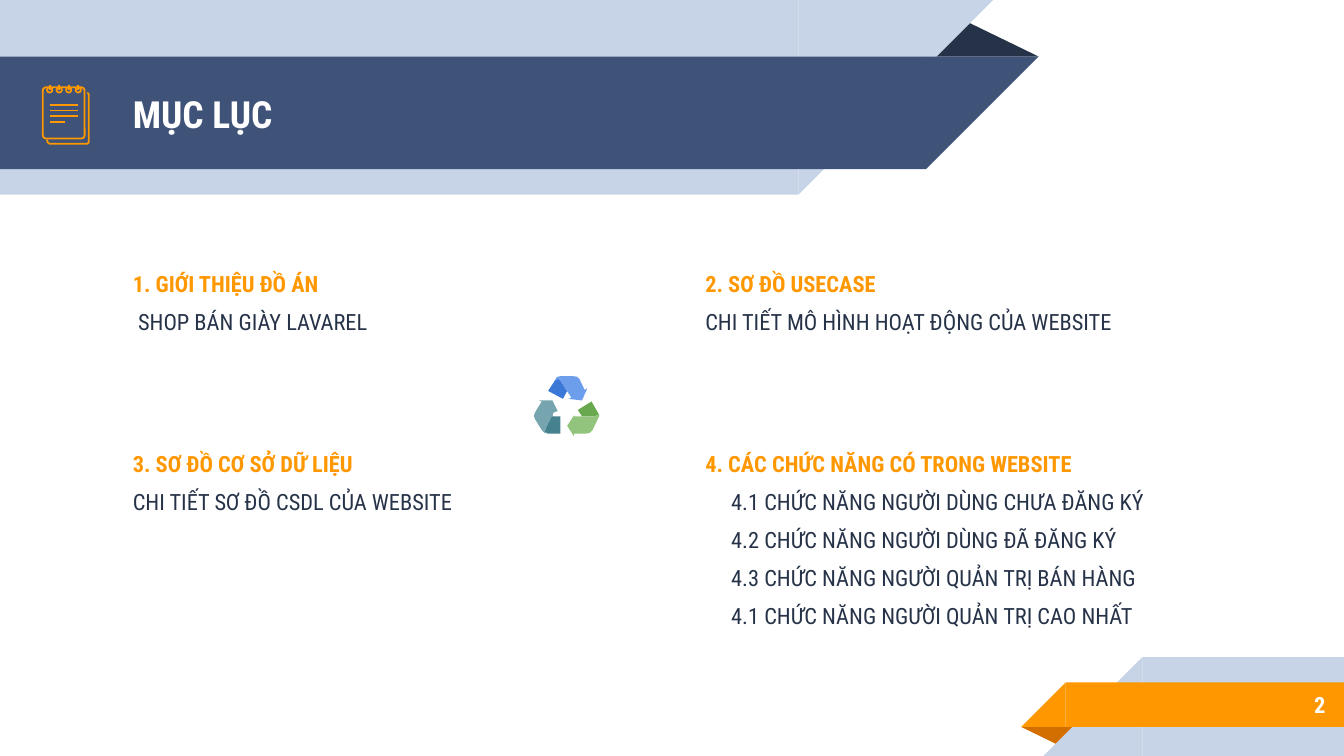
from dataclasses import dataclass

from lxml import etree
from pptx import Presentation
from pptx.dml.color import RGBColor
from pptx.enum import shapes as kinds, text as txt
from pptx.oxml import ns
from pptx.util import Cm, Pt

FONT = "Roboto Condensed"
WHITE = RGBColor(0xFF, 0xFF, 0xFF)
PALE = RGBColor(0xC7, 0xD3, 0xE6)
NAVY = RGBColor(0x3F, 0x53, 0x78)
DARK = RGBColor(0x26, 0x32, 0x48)
ORANGE = RGBColor(0xFF, 0x98, 0x00)
RUST = RGBColor(0xD2, 0x6F, 0x00)
LEAF = RGBColor(0x93, 0xC4, 0x7D)
MOSS = RGBColor(0x6A, 0xA8, 0x4F)
TEAL = RGBColor(0x76, 0xA5, 0xAF)
PINE = RGBColor(0x45, 0x81, 0x8E)
SKY = RGBColor(0x6D, 0x9E, 0xEB)
BLUE = RGBColor(0x3C, 0x78, 0xD8)
KIND = kinds.MSO_SHAPE
Points = list[tuple[float, float]]


@dataclass
class Band:
    left: float
    top: float
    width: float
    height: float
    color: RGBColor
    header: bool


@dataclass
class Fold:
    left: float
    top: float
    width: float
    height: float
    color: RGBColor
    turn: int


@dataclass
class Topic:
    left: float
    top: float
    width: float
    height: float
    head: str
    items: list[str]
    indent: float = 0


@dataclass
class Piece:
    color: RGBColor
    points: Points


HEADER = [
    Fold(17.47, 0.36, 2.16, 0.71, DARK, 0),
    Band(0, 0, 15.09, 3.68, PALE, True),
    Band(0, 1.07, 17.5, 2.13, NAVY, True),
]
FOOTER = [
    Fold(19.3, 13.74, 1.09, 0.36, RUST, 180),
    Band(21.59, 12.42, 3.81, 1.87, PALE, False),
    Band(20.14, 12.9, 5.26, 0.84, ORANGE, False),
]
COLS = (2.26, 13.08)
ROWS = (4.85, 8.25)
TOPICS = [
    Topic(COLS[0], ROWS[0], 8.56, 3.66, "1. GIỚI THIỆU ĐỒ ÁN",
          ["SHOP BÁN GIÀY LAVAREL"], 0.1),
    Topic(COLS[1], ROWS[0], 10.16, 3.66, "2. SƠ ĐỒ USECASE",
          ["CHI TIẾT MÔ HÌNH HOẠT ĐỘNG CỦA WEBSITE"]),
    Topic(COLS[0], ROWS[1], 8.56, 3.66, "3. SƠ ĐỒ CƠ SỞ DỮ LIỆU",
          ["CHI TIẾT SƠ ĐỒ CSDL CỦA WEBSITE"]),
    Topic(COLS[1], ROWS[1], 10.16, 4.62, "4. CÁC CHỨC NĂNG CÓ TRONG WEBSITE",
          ["4.1 CHỨC NĂNG NGƯỜI DÙNG CHƯA ĐĂNG KÝ",
           "4.2 CHỨC NĂNG NGƯỜI DÙNG ĐÃ ĐĂNG KÝ",
           "4.3 CHỨC NĂNG NGƯỜI QUẢN TRỊ BÁN HÀNG",
           "4.1 CHỨC NĂNG NGƯỜI QUẢN TRỊ CAO NHẤT"], 0.49),
]
BACK = [(0.89, 2.64), (0.9, 2.69), (0.94, 2.72), (1.65, 2.72),
        (1.68, 2.69), (1.68, 1.78), (1.65, 1.75)]
RECYCLE = [
    Piece(MOSS, [(11.23, 7.87), (11.32, 7.84), (11.3, 7.8), (11.18, 7.59),
                 (10.92, 7.75), (11, 7.87)]),
    Piece(PINE, [(10.59, 7.87), (10.44, 7.87), (10.46, 7.8), (10.31, 8.1),
                 (10.3, 8.16), (10.36, 8.2), (10.59, 8.2)]),
    Piece(BLUE, [(10.59, 7.19), (10.54, 7.16), (10.49, 7.19), (10.36, 7.39),
                 (10.64, 7.54), (10.72, 7.39), (10.77, 7.47)]),
    Piece(TEAL, [(10.54, 7.77), (10.44, 7.57), (10.19, 7.57), (10.24, 7.59),
                 (10.11, 7.8), (10.09, 7.86), (10.11, 7.92), (10.24, 8.13),
                 (10.29, 8.18), (10.36, 8.2), (10.3, 8.16), (10.31, 8.1),
                 (10.46, 7.8)]),
    Piece(SKY, [(11.05, 7.37), (10.95, 7.16), (10.9, 7.12), (10.82, 7.11),
                (10.59, 7.11), (10.52, 7.13), (10.49, 7.19), (10.54, 7.16),
                (10.59, 7.19), (10.77, 7.47), (10.8, 7.52), (10.74, 7.54),
                (11, 7.57), (11.1, 7.34)]),
    Piece(LEAF, [(11.3, 7.8), (11.32, 7.84), (11.23, 7.87), (10.85, 7.87),
                 (10.85, 7.85), (10.72, 8.05), (10.85, 8.25), (10.85, 8.2),
                 (11.07, 8.2), (11.15, 8.18), (11.2, 8.13), (11.3, 7.92),
                 (11.33, 7.86)]),
]


def paint(shape, fill: RGBColor | None) -> None:
    """Fill a shape, or give it an orange outline when there is no fill."""
    shape.shadow.inherit = False
    if fill is None:
        shape.fill.background()
        shape.line.color.rgb = ORANGE
        shape.line.width = Pt(0.96)
    else:
        shape.fill.solid()
        shape.fill.fore_color.rgb = fill
        shape.line.fill.background()


def draw(slide, kind, left: float, top: float, width: float, height: float,
         fill: RGBColor | None, turn: int = 0):
    shape = slide.shapes.add_shape(kind, Cm(left), Cm(top), Cm(width), Cm(height))
    shape.rotation = turn
    paint(shape, fill)
    return shape


def outline(slide, points: Points, fill: RGBColor | None) -> None:
    spots = [(Cm(x), Cm(y)) for x, y in points]
    pen = slide.shapes.build_freeform(*spots[0])
    pen.add_line_segments(spots[1:], close=fill is not None)
    paint(pen.convert_to_shape(), fill)


def stroke(slide, x1: float, y1: float, x2: float, y2: float) -> None:
    line = slide.shapes.add_connector(
        kinds.MSO_CONNECTOR.STRAIGHT, Cm(x1), Cm(y1), Cm(x2), Cm(y2))
    line.line.color.rgb = ORANGE
    line.line.width = Pt(0.96)
    etree.SubElement(line._element.spPr, ns.qn("a:effectLst"))


def add_fold(slide, fold: Fold) -> None:
    shape = draw(slide, KIND.ISOSCELES_TRIANGLE, fold.left, fold.top,
                 fold.width, fold.height, fold.color, fold.turn)
    shape.adjustments[0] = 0.324


def add_band(slide, band: Band) -> None:
    """Draw a bar with a slanted end: right in the header, left in the footer."""
    side = band.height
    tip = band.left + band.width if band.header else band.left - side
    draw(slide, KIND.RECTANGLE, band.left, band.top, band.width, side, band.color)
    draw(slide, KIND.RIGHT_TRIANGLE, tip, band.top, side, side, band.color,
         90 if band.header else 270)


def add_text(slide, left: float, top: float, width: float, height: float,
             lines: list[str], color: RGBColor, size: int = 12):
    """Add a box whose first line is bold."""
    frame = slide.shapes.add_textbox(
        Cm(left), Cm(top), Cm(width), Cm(height)).text_frame
    frame.word_wrap = True
    frame.margin_left = frame.margin_right = Cm(0.25)
    frame.margin_top = frame.margin_bottom = Cm(0.25)
    frame.text = "\n".join(lines)
    for i, para in enumerate(frame.paragraphs):
        font = para.runs[0].font
        font.name, font.size, font.bold = FONT, Pt(size), i == 0
        font.color.rgb = DARK if i else color
        if i:
            para.space_before = Pt(6)
    return frame


def add_topic(slide, topic: Topic) -> None:
    frame = add_text(slide, topic.left, topic.top, topic.width, topic.height,
                     [topic.head, *topic.items], ORANGE)
    for para in frame.paragraphs[1:]:
        para._p.get_or_add_pPr().set("marL", str(Cm(topic.indent)))


def add_pad(slide) -> None:
    """Draw the notepad icon."""
    outline(slide, BACK, None)
    page = draw(slide, KIND.ROUNDED_RECTANGLE, 0.81, 1.65, 0.79, 0.97, None)
    page.adjustments[0] = 0.08
    for i in range(4):
        x = 0.94 + 0.18 * i
        draw(slide, KIND.OVAL, x - 0.05, 1.65, 0.1, 0.1, None)
        stroke(slide, x, 1.6, x, 1.7)
        stroke(slide, 0.94, 1.98 + 0.11 * i, 1.22 if i == 3 else 1.47, 1.98 + 0.11 * i)


def main() -> None:
    deck = Presentation()
    deck.slide_width, deck.slide_height = Cm(25.4), Cm(14.29)
    slide = deck.slides.add_slide(deck.slide_layouts[6])
    for fold, *bands in (HEADER, FOOTER):
        add_fold(slide, fold)
        for band in bands:
            add_band(slide, band)
    title = add_text(slide, 2.26, 1.09, 14.6, 2.13, ["MỤC LỤC"], WHITE, 20)
    number = add_text(slide, 21.16, 12.88, 4.14, 0.89, ["2"], WHITE)
    title.vertical_anchor = number.vertical_anchor = txt.MSO_ANCHOR.MIDDLE
    number.paragraphs[0].alignment = txt.PP_ALIGN.RIGHT
    add_pad(slide)
    for topic in TOPICS:
        add_topic(slide, topic)
    for piece in RECYCLE:
        outline(slide, piece.points, piece.color)
    deck.save("out.pptx")


if __name__ == "__main__":
    main()
